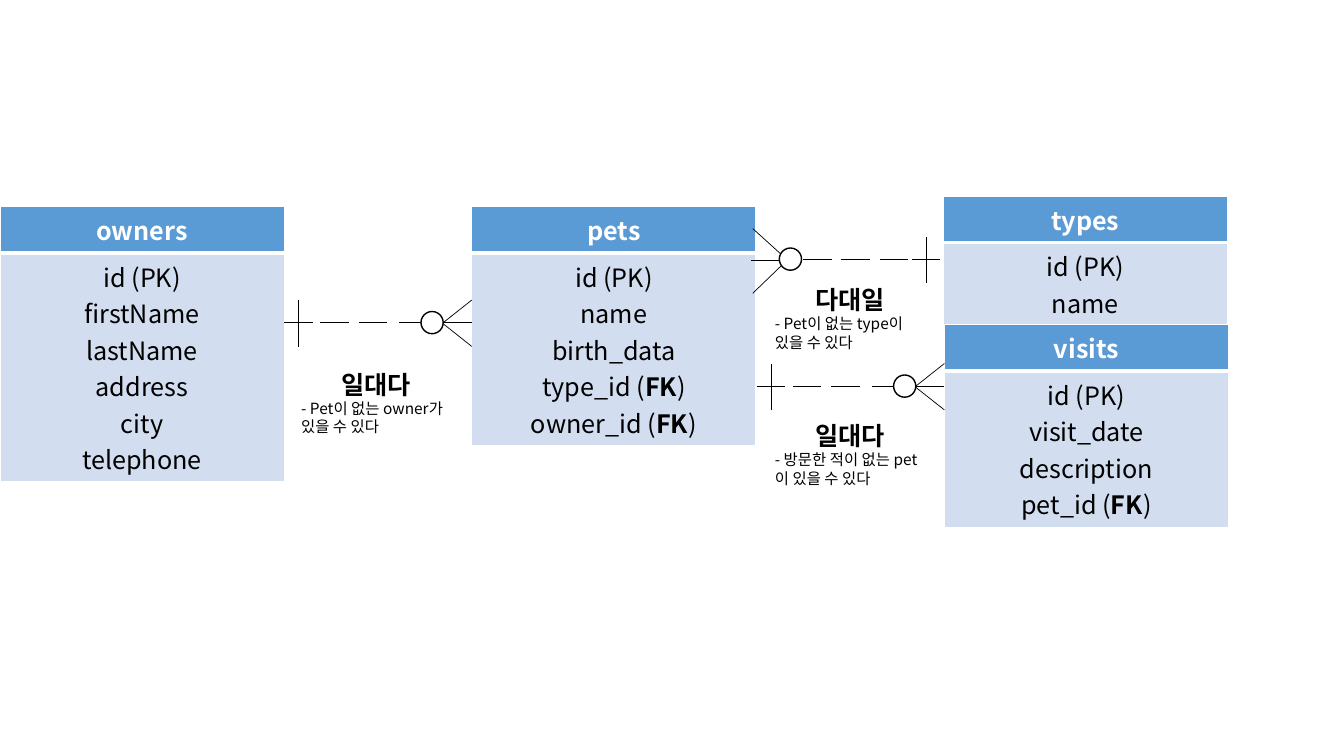
from lxml import etree
from pptx import Presentation
from pptx.dml.color import RGBColor
from pptx.enum.shapes import MSO_CONNECTOR, MSO_SHAPE
from pptx.enum.text import MSO_AUTO_SIZE, PP_ALIGN
from pptx.oxml.ns import qn
from pptx.util import Cm, Pt

CENTER, LEFT = PP_ALIGN.CENTER, PP_ALIGN.LEFT
STRAIGHT = MSO_CONNECTOR.STRAIGHT
OVAL = MSO_SHAPE.OVAL
FIT_SHAPE = MSO_AUTO_SIZE.SHAPE_TO_FIT_TEXT
FONT = "Noto Sans CJK KR"
BLACK, WHITE, BLUE, PALE = "000000", "FFFFFF", "5B9BD5", "D2DEEF"
TABLE_W, HEADER_H = 7.16, 1.03
DASH, CIRCLE = 0.72, 0.56

TABLES = [
    ((0, 5.2, TABLE_W, 5.87), "owners",
     ["id (PK)", "firstName", "lastName", "address", "city", "telephone"]),
    ((11.89, 5.2, TABLE_W, 5.1), "pets",
     ["id (PK)", "name", "birth_data", "type_id (FK)", "owner_id (FK)"]),
    ((23.77, 4.94, TABLE_W, 2.82), "types", ["id (PK)", "name"]),
    ((23.8, 8.18, TABLE_W, 4.34), "visits",
     ["id (PK)", "visit_date", "description", "pet_id (FK)"]),
]

TO_RIGHT = {
    "side": 1, "dashes": [0, 0.91, 1.88, 2.9], "circle": 3.73,
    "foot": [(4.01, 0, 4.73, 0), (4.01, 0, 4.73, -0.57), (4.01, 0.03, 4.73, 0.6)],
}
TO_LEFT = {
    "side": -1, "dashes": [0, 0.81, 1.78, 2.74], "circle": 3.78,
    "foot": [(4.06, 0.04, 4.78, 0.04), (3.99, -0.1, 4.73, -0.77), (3.94, 0.1, 4.73, 0.86)],
}
RELATIONS = [
    (7.16, 8.13, TO_RIGHT),
    (19.07, 9.73, TO_RIGHT),
    (23.7, 6.53, TO_LEFT),
]

NOTES = [
    ((7.34, 9.17, 4.29, 1.96), "일대다", "- Pet이 없는 owner가 있을 수 있다"),
    ((19.28, 7.04, 4.29, 1.96), "다대일", "- Pet이 없는 type이 있을 수 있다"),
    ((19.28, 10.46, 4.29, 1.96), "일대다", "- 방문한 적이 없는 pet이 있을 수 있다"),
]


def color(value):
    return RGBColor.from_string(value)


def write(p, text, size, ink, bold=False, align=CENTER):
    p.alignment = align
    p.font.name, p.font.size, p.font.bold = FONT, Pt(size), bold
    p.font.color.rgb = color(ink)
    etree.SubElement(p.font._element, qn("a:ea"), typeface=FONT)
    before, key, after = text.partition("FK")
    for part in filter(None, (before, key, after)):
        r = p.add_run()
        r.text = part
        if part == key:
            r.font.bold = True


def style_cell(cell, fill, top, bottom):
    tc_pr = cell._tc.get_or_add_tcPr()
    for side, width in (("L", 1), ("R", 1), ("T", top), ("B", bottom)):
        ln = etree.SubElement(tc_pr, qn("a:ln" + side), w=str(Pt(width)))
        solid = etree.SubElement(ln, qn("a:solidFill"))
        etree.SubElement(solid, qn("a:srgbClr"), val=WHITE)
    cell.fill.solid()
    cell.fill.fore_color.rgb = color(fill)


def add_entity(s, box, title, fields):
    table = s.shapes.add_table(2, 1, *map(Cm, box)).table
    table.rows[0].height = Cm(HEADER_H)
    table.rows[1].height = Cm(box[3] - HEADER_H)
    header, body = table.cell(0, 0), table.cell(1, 0)
    style_cell(header, BLUE, 1, 3)
    style_cell(body, PALE, 3, 1)
    write(header.text_frame.paragraphs[0], title, 18, WHITE, bold=True)
    tf = body.text_frame
    for i, field in enumerate(fields):
        p = tf.add_paragraph() if i else tf.paragraphs[0]
        write(p, field, 18, BLACK)


def add_line(s, x1, y1, x2, y2):
    line = s.shapes.add_connector(STRAIGHT, Cm(x1), Cm(y1), Cm(x2), Cm(y2))
    line.line.color.rgb = color(BLACK)
    line.line.width = Pt(0.5)
    etree.SubElement(line._element.spPr, qn("a:effectLst"))


def add_relation(s, x, y, form):
    side = form["side"]
    dashes = [(start, 0, start + DASH, 0) for start in form["dashes"]]
    bar = (0.36, -0.56, 0.36, 0.61)
    for x1, y1, x2, y2 in dashes + [bar] + form["foot"]:
        add_line(s, x + side * x1, y + y1, x + side * x2, y + y2)
    left = x + side * form["circle"] - CIRCLE / 2
    sp = s.shapes.add_shape(OVAL, Cm(left), Cm(y - CIRCLE / 2), Cm(CIRCLE), Cm(CIRCLE))
    sp.shadow.inherit = False
    sp.fill.solid()
    sp.fill.fore_color.rgb = color(WHITE)
    sp.line.color.rgb = color(BLACK)
    sp.line.width = Pt(1)


def add_note(s, box, title, detail):
    tf = s.shapes.add_textbox(*map(Cm, box)).text_frame
    tf.word_wrap = True
    tf.auto_size = FIT_SHAPE
    write(tf.paragraphs[0], title, 18, BLACK, bold=True)
    write(tf.add_paragraph(), detail, 11, BLACK, align=LEFT)


prs = Presentation()
prs.slide_width, prs.slide_height = Cm(33.87), Cm(19.05)
s = prs.slides.add_slide(prs.slide_layouts[6])
for entity in TABLES:
    add_entity(s, *entity)
for relation in RELATIONS:
    add_relation(s, *relation)
for note in NOTES:
    add_note(s, *note)
prs.save("out.pptx")
